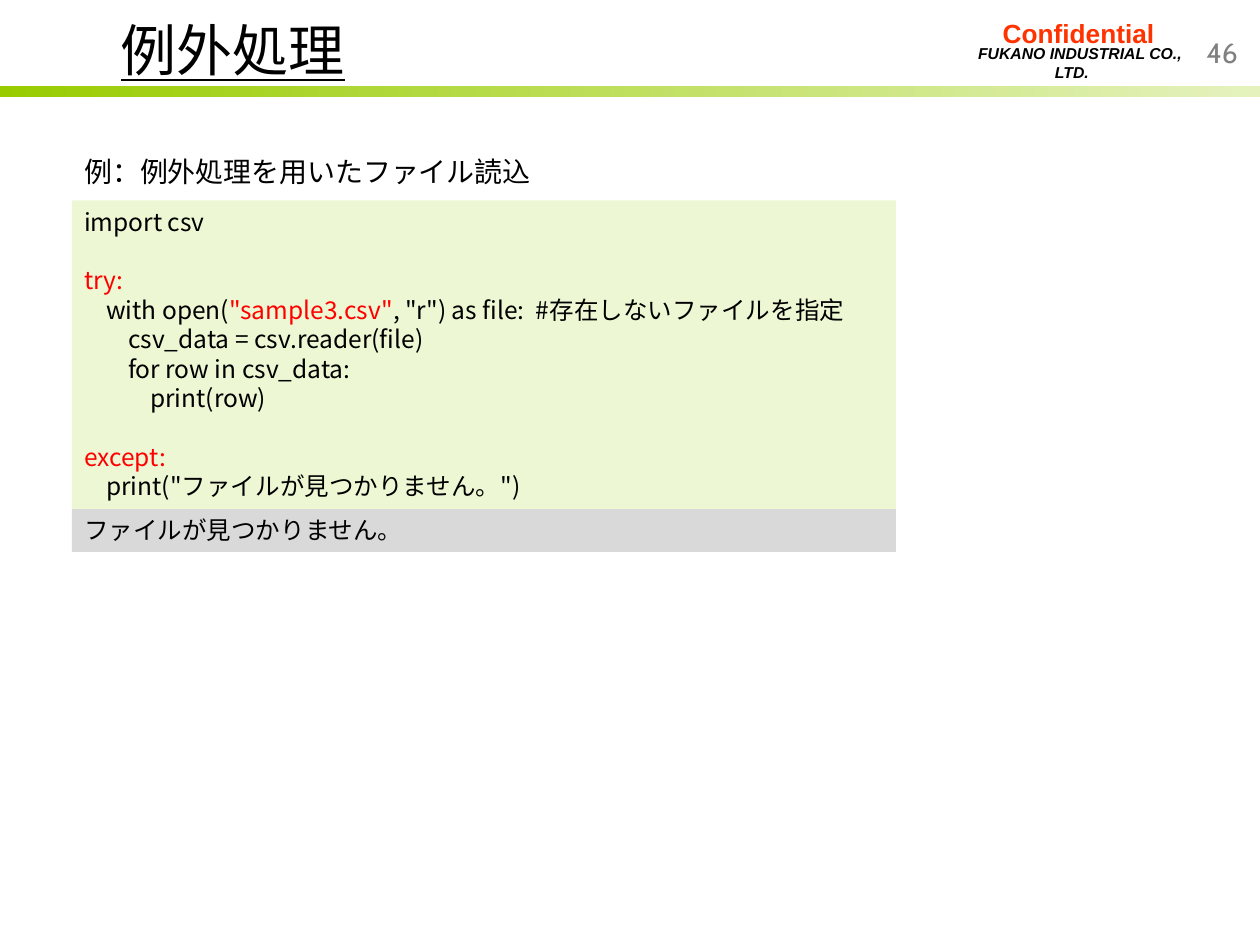
from dataclasses import dataclass

from pptx import Presentation
from pptx.dml.color import RGBColor
from pptx.enum.shapes import MSO_SHAPE as Preset
from pptx.enum.text import MSO_ANCHOR as Anchor, PP_ALIGN as Align
from pptx.oxml.ns import qn
from pptx.oxml.xmlchemy import OxmlElement
from pptx.util import Inches, Pt

BLACK = RGBColor(0x00, 0x00, 0x00)
RED = RGBColor(0xFF, 0x00, 0x00)
ORANGE = RGBColor(0xFF, 0x33, 0x00)
GRAY = RGBColor(0x80, 0x80, 0x80)
SILVER = RGBColor(0xD9, 0xD9, 0xD9)
MINT = RGBColor(0xED, 0xF7, 0xD3)
LIME = RGBColor(0x99, 0xCC, 0x00)
PALE = RGBColor(0xE5, 0xF2, 0xBE)

SANS = "Noto Sans CJK JP"
COLS, ROWS = 10, 7.5  # grid of one-inch cells
LEFT, WIDE = 0.57, 6.54
LEAD = 1.2  # line pitch as a share of the text size


@dataclass(frozen=True)
class Area:
    col: float
    row: float
    cols: float
    rows: float

    def place(self) -> tuple:
        return tuple(Inches(n) for n in (self.col, self.row, self.cols, self.rows))


@dataclass(frozen=True)
class Style:
    size: float
    font: str = SANS
    color: RGBColor = BLACK
    bold: bool = False
    slant: bool = False
    under: bool = False


@dataclass(frozen=True)
class Line:
    words: tuple  # (text, colour) pairs
    gap: bool = False  # one empty line above


@dataclass(frozen=True)
class Label:
    area: Area
    text: str
    style: Style
    anchor: Anchor = Anchor.TOP
    wrap: bool = False


CODE = (
    Line((("import csv", BLACK),)),
    Line((("try:", RED),), gap=True),
    Line((("    with open(", BLACK), ('"sample3.csv"', RED),
          (', "r") as file:  #存在しないファイルを指定', BLACK))),
    Line((("        csv_data = csv.reader(file)", BLACK),)),
    Line((("        for row in csv_data:", BLACK),)),
    Line((("            print(row)", BLACK),)),
    Line((("except:", RED),), gap=True),
    Line((('    print("ファイルが見つかりません。")', BLACK),)),
)
RESULT = (Line((("ファイルが見つかりません。", BLACK),)),)
LEDE = (Line((("例：例外処理を用いたファイル読込", BLACK),)),)

MARKS = (
    Label(Area(9.43, 0.23, 0.54, 0.37), "46", Style(16, "Cabin", GRAY)),
    Label(Area(7.47, 0.37, 2.2, 0.25), "FUKANO INDUSTRIAL CO., LTD.　",
          Style(9, "Arial", bold=True, slant=True), Anchor.MIDDLE, True),
    Label(Area(7.85, 0.09, 1.42, 0.35), "Confidential",
          Style(15, "Arial", ORANGE, bold=True), Anchor.MIDDLE),
)


def add_run(para, text: str, style: Style, color: RGBColor) -> None:
    run = para.add_run()
    run.text = text
    font = run.font
    font.name, font.size = style.font, Pt(style.size)
    font.bold, font.italic, font.underline = style.bold, style.slant, style.under
    font.color.rgb = color
    east = OxmlElement("a:ea")
    east.set("typeface", style.font)
    run._r.get_or_add_rPr().find(qn("a:latin")).addnext(east)


def fill_lines(frame, lines: tuple, style: Style) -> None:
    frame.word_wrap = True
    frame.vertical_anchor = Anchor.TOP
    pitch = Pt(style.size * LEAD)
    for i, line in enumerate(lines):
        para = frame.add_paragraph() if i else frame.paragraphs[0]
        para.alignment = Align.LEFT
        para.line_spacing = pitch
        para.space_before = pitch if line.gap else Pt(0)
        for text, color in line.words:
            add_run(para, text, style, color)


def add_rect(slide, area: Area):
    rect = slide.shapes.add_shape(Preset.RECTANGLE, *area.place())
    rect.shadow.inherit = False
    rect.line.fill.background()
    return rect


def add_bar(slide) -> None:
    fill = add_rect(slide, Area(0, 0.68, COLS, 0.09)).fill
    fill.gradient()
    fill.gradient_angle = 0
    for stop, color in zip(fill.gradient_stops, (LIME, PALE)):
        stop.color.rgb = color


def add_panel(slide, area: Area, color: RGBColor, lines: tuple) -> None:
    rect = add_rect(slide, area)
    rect.fill.solid()
    rect.fill.fore_color.rgb = color
    fill_lines(rect.text_frame, lines, Style(14))


def add_mark(slide, mark: Label) -> None:
    frame = slide.shapes.add_textbox(*mark.area.place()).text_frame
    frame.word_wrap = mark.wrap
    frame.vertical_anchor = mark.anchor
    para = frame.paragraphs[0]
    para.alignment = Align.CENTER
    add_run(para, mark.text, mark.style, mark.style.color)


def set_title(slide) -> None:
    title = slide.shapes.title
    title.left, title.top, title.width, title.height = Area(0.86, 0.13, 3.53, 0.52).place()
    frame = title.text_frame
    frame.word_wrap = False
    frame.vertical_anchor = Anchor.MIDDLE
    para = frame.paragraphs[0]
    para.alignment = Align.LEFT
    add_run(para, "例外処理", Style(32, under=True), BLACK)


def main() -> None:
    deck = Presentation()
    deck.slide_width, deck.slide_height = Inches(COLS), Inches(ROWS)
    slide = deck.slides.add_slide(deck.slide_layouts.get_by_name("Title Only"))
    set_title(slide)
    add_bar(slide)
    for mark in MARKS:
        add_mark(slide, mark)
    add_panel(slide, Area(LEFT, 1.59, WIDE, 2.45), MINT, CODE)
    lede = slide.shapes.add_textbox(*Area(LEFT, 1.18, 4.88, 0.37).place())
    fill_lines(lede.text_frame, LEDE, Style(16))
    add_panel(slide, Area(LEFT, 4.04, WIDE, 0.34), SILVER, RESULT)
    deck.save("out.pptx")


if __name__ == "__main__":
    main()
